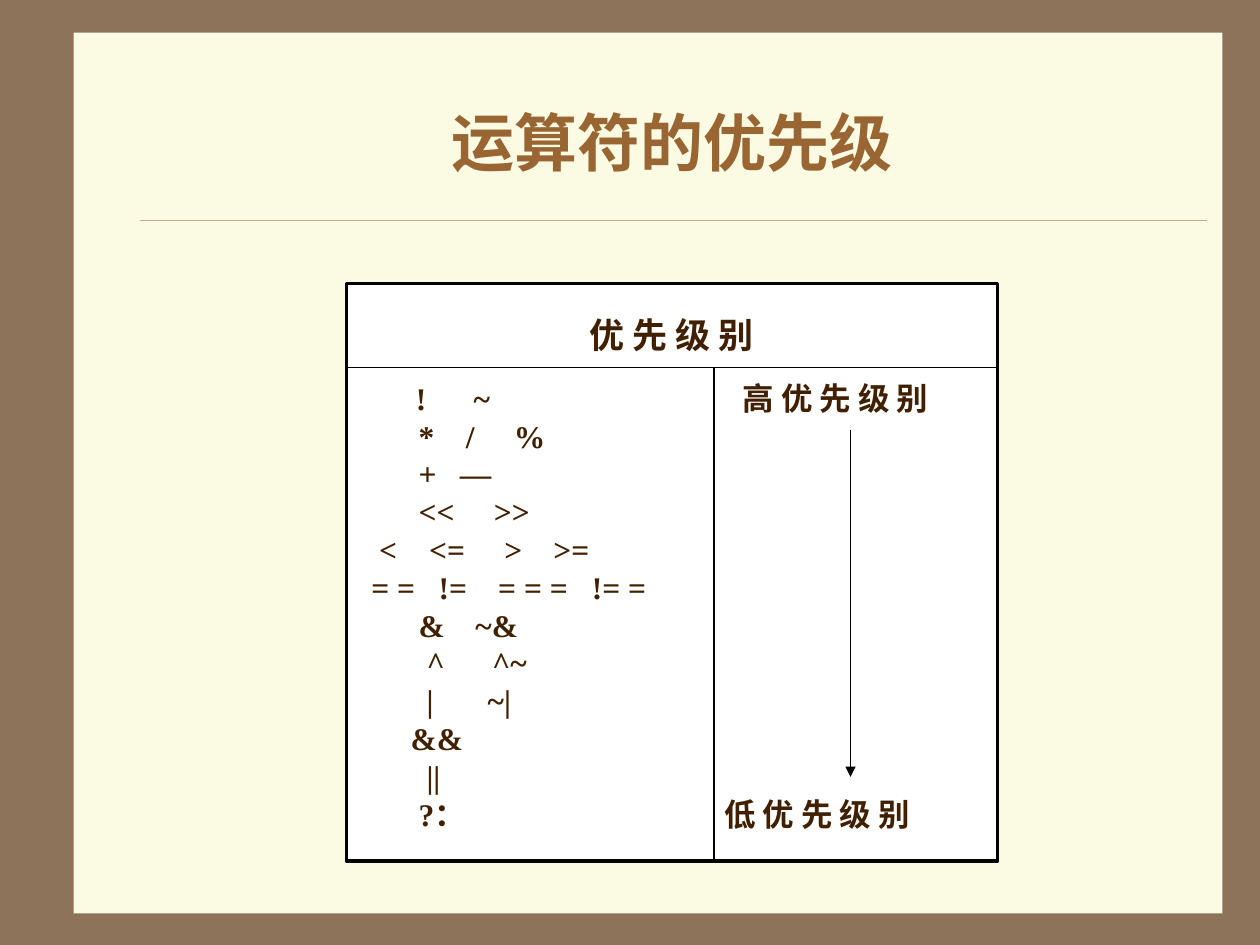
from pptx import Presentation
from pptx.dml.color import RGBColor as RGB
from pptx.enum.shapes import MSO_CONNECTOR as Link, MSO_SHAPE as Kind
from pptx.enum.text import MSO_ANCHOR as Anchor, PP_ALIGN as Align
from pptx.oxml.ns import qn
from pptx.util import Pt
from lxml.etree import SubElement as Sub

COLOR = {"frame": "8C735A", "page": "FBFAE2", "rule": "A08366", "title": "996633",
         "text": "402000", "box": "FFFFFF", "ink": "000000"}
SERIF, SANS = "Times New Roman", "Noto Sans CJK SC"

LEFT, TOP, RIGHT, BASE = 198, 162, 570, 492
HEAD, SPLIT, ARROW = 210, 408, 486
PITCH = 21.6
HIGH, LOW = "高 优 先 级 别", "低 优 先 级 别"
ROWS = [
    ([(39, "!"), (72, "~")], (225.5, HIGH)),
    ([(40.5, "*"), (67.5, "/"), (95, "%")], None),
    ([(40.5, "+"), (64, "—")], None),
    ([(40.5, "<<"), (83.5, ">>")], None),
    ([(18, "<"), (46.5, "<="), (89.5, ">"), (117.5, ">=")], None),
    ([(13.5, "= ="), (52, "!="), (86, "= = ="), (139.5, "!= =")], None),
    ([(40.5, "&"), (73, "~&")], None),
    ([(45, "^"), (82.5, "^~")], None),
    ([(45, "|"), (80, "~|")], None),
    ([(36, "&&")], None),
    ([(45, "||")], None),
    ([(40.5, "?：")], (215, LOW)),
]


class Deck:
    """Hold the style and the current slide, and draw its elements."""

    def __init__(self):
        self.show = Presentation()
        self.show.slide_width, self.show.slide_height = Pt(720), Pt(540)
        self.slide = self.show.slides.add_slide(self.show.slide_layouts[5])
        self.paint(self.slide.background.fill, "frame")

    def paint(self, fill, color):
        fill.solid()
        fill.fore_color.rgb = RGB.from_string(COLOR[color])

    def font(self, para, size, color, name=SERIF):
        font = para.font
        font.size, font.bold, font.name = Pt(size), True, name
        font.color.rgb = RGB.from_string(COLOR[color])
        Sub(font._element, qn("a:ea")).set("typeface", SANS)

    def rect(self, x, y, w, h, color, width=0):
        shape = self.slide.shapes.add_shape(Kind.RECTANGLE, Pt(x), Pt(y), Pt(w), Pt(h))
        shape.shadow.inherit = False
        self.paint(shape.fill, color)
        if width:
            shape.line.width = Pt(width)
            self.paint(shape.line.fill, "ink")
        else:
            shape.line.fill.background()
        return shape

    def line(self, x1, y1, x2, y2, width, color="ink", arrow=False):
        link = self.slide.shapes.add_connector(Link.STRAIGHT, Pt(x1), Pt(y1), Pt(x2), Pt(y2))
        self.paint(link.line.fill, color)
        link.line.width = Pt(width)
        if arrow:
            Sub(link.line._get_or_add_ln(), qn("a:tailEnd")).set("type", "triangle")
        Sub(link._element.spPr, qn("a:effectLst"))

    def title(self, text, x, y, w, h):
        title = self.slide.shapes.title
        title._element.getparent().append(title._element)
        title.left, title.top, title.width, title.height = Pt(x), Pt(y), Pt(w), Pt(h)
        self.paint(title.fill, "page")
        frame = title.text_frame
        frame.text, frame.vertical_anchor = text, Anchor.MIDDLE
        para = frame.paragraphs[0]
        para.alignment = Align.CENTER
        self.font(para, 36, "title")

    def row(self, frame, marks, label, gap):
        para = frame.add_paragraph()
        stops = marks + [label] if label else marks
        tabs = Sub(para._p.get_or_add_pPr(), qn("a:tabLst"))
        for x, _ in stops:
            tab = Sub(tabs, qn("a:tab"))
            tab.set("pos", str(int(Pt(x))))
            tab.set("algn", "l")
        para.alignment = Align.LEFT
        para.line_spacing, para.space_before = Pt(PITCH), Pt(gap)
        self.font(para, 18, "text")
        para.add_run().text = "".join("\t" + mark for _, mark in marks)
        if label:
            run = para.add_run()
            run.text, run.font.name = "\t" + label[1], SANS

    def chart(self, head, rows):
        frame = self.rect(LEFT, TOP, RIGHT - LEFT, BASE - TOP, "box", 2).text_frame
        frame.word_wrap, frame.vertical_anchor = True, Anchor.TOP
        frame.margin_left = frame.margin_right = frame.margin_bottom = Pt(0.72)
        frame.margin_top = Pt(12)
        frame.text = head
        para = frame.paragraphs[0]
        para.alignment, para.line_spacing = Align.CENTER, Pt(29)
        self.font(para, 20, "text", SANS)
        for i, (marks, label) in enumerate(rows):
            self.row(frame, marks, label, 0 if i else 13.5)
        self.line(LEFT, HEAD, RIGHT, HEAD, 1)
        self.line(SPLIT, HEAD, SPLIT, BASE, 1)
        self.line(ARROW, 246, ARROW, 444, 0.75, arrow=True)


def main():
    deck = Deck()
    deck.rect(42, 18.7, 656.6, 503.3, "page")
    deck.line(80, 126, 690, 126, 0.25, "rule")
    deck.title("运算符的优先级", 78, 36, 612, 90)
    deck.chart("优 先 级 别", ROWS)
    deck.show.save("out.pptx")


if __name__ == "__main__":
    main()
